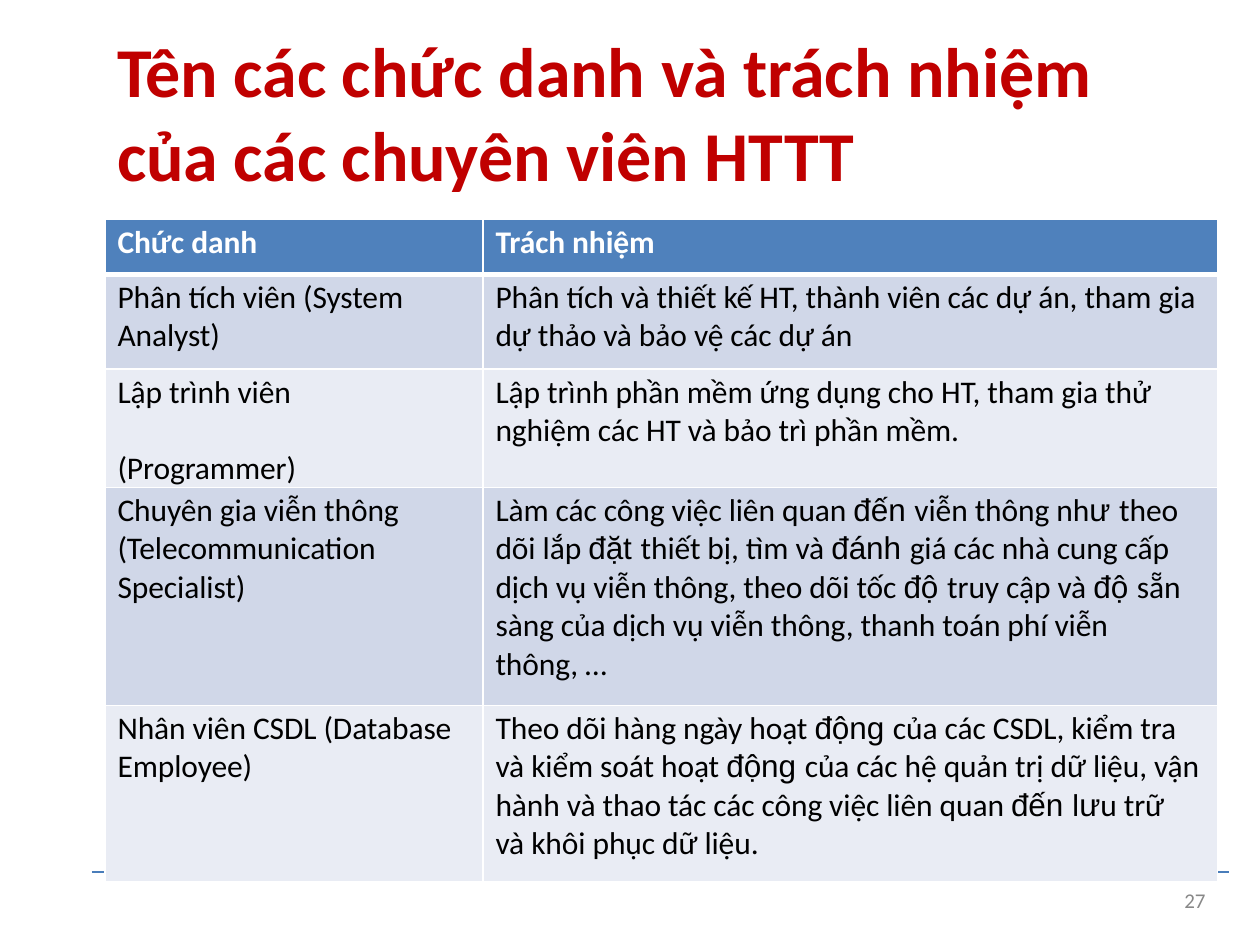
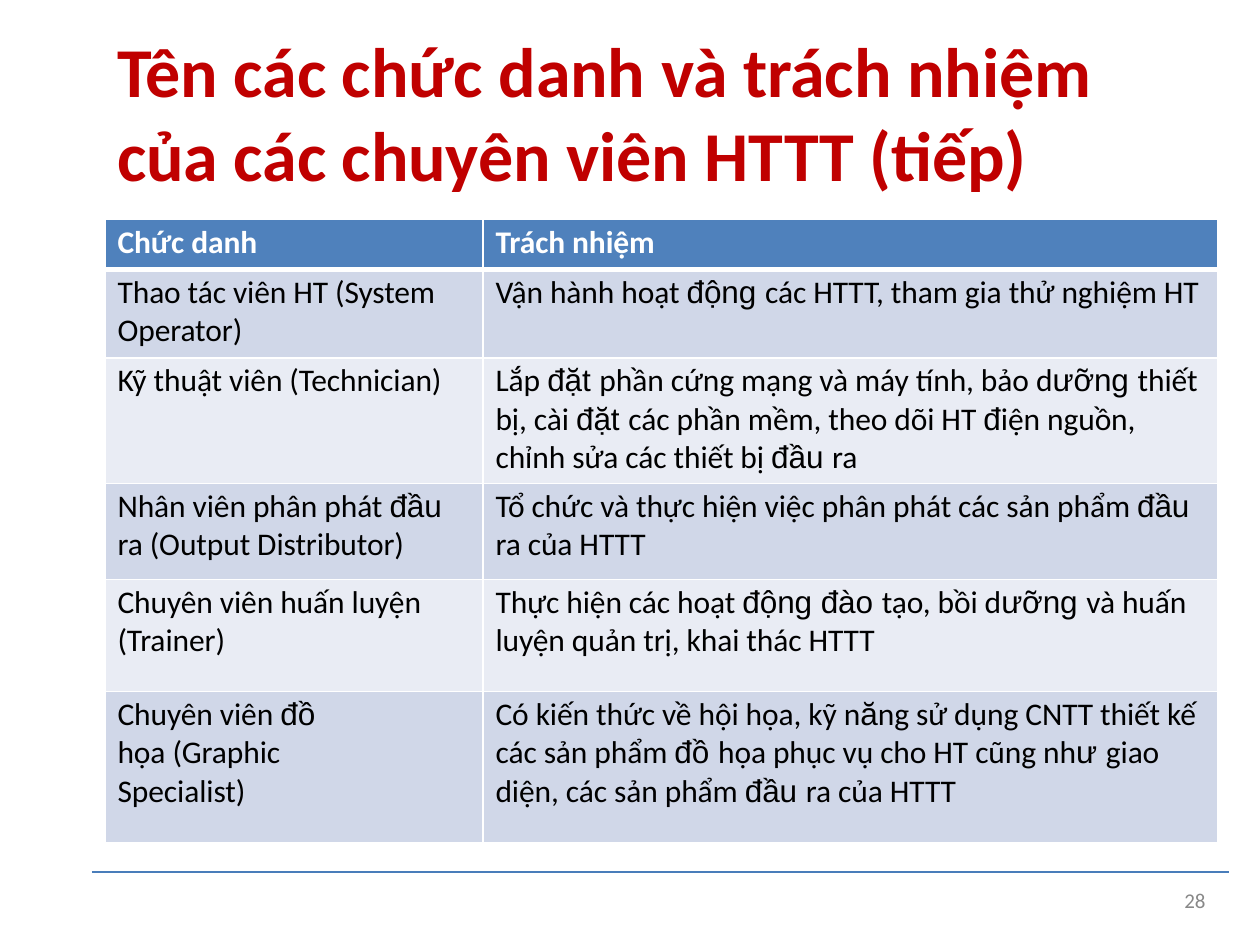
"""Build two slides that list information system job titles and their duties."""
import dataclasses

import lxml.etree
import pptx
import pptx.dml.color
import pptx.enum.shapes
import pptx.enum.text
import pptx.oxml.ns
import pptx.util


@dataclasses.dataclass(frozen=True)
class Theme:
    font: str = "Calibri"
    alt: str = "Arial"
    red: str = "C00000"
    head: str = "4F81BC"
    bands: tuple = ("E9ECF4", "D0D7E8")
    white: str = "FFFFFF"
    black: str = "000000"
    gray: str = "888888"
    rule: str = "497DBA"
    title: int = 40
    body: int = 18
    small: int = 12


theme = Theme()
Rgb = pptx.dml.color.RGBColor.from_string
Pt = pptx.util.Pt
qn = pptx.oxml.ns.qn

deck = pptx.Presentation()
deck.slide_width = pptx.util.Inches(10)
deck.slide_height = pptx.util.Inches(7.5)
col, row = deck.slide_width / 100, deck.slide_height / 100
pad = int(col)


def place(x, y, wide, high):
    """Turn percent shares of the slide into lengths."""
    return int(x * col), int(y * row), int(wide * col), int(high * row)


def write(frame, text, size, color, bold=False):
    """Fill a frame; parts between bars take the second font."""
    frame.margin_left = frame.margin_right = 0
    frame.margin_top = frame.margin_bottom = 0
    for num, line in enumerate(text.split("\n")):
        para = frame.add_paragraph() if num else frame.paragraphs[0]
        para.alignment = pptx.enum.text.PP_ALIGN.LEFT
        for part, piece in enumerate(line.split("|")):
            for turn, words in enumerate(piece.split("\v")):
                if turn:
                    para.add_line_break()
                if not words:
                    continue
                run = para.add_run()
                run.text = words
                run.font.name = theme.alt if part % 2 else theme.font
                run.font.size = Pt(size)
                run.font.bold = bold
                run.font.color.rgb = Rgb(color)
                run.font._element.set("spc", "-5")


heads = ("Chức danh", "Trách nhiệm")
pages = [
    (27, "Tên các chức danh và trách nhiệm\vcủa các chuyên viên HTTT",
     (5.87, 10, 12.53, 23.07, 18.67),
     [("Phân tích viên (System Analyst)",
       "Phân tích và thiết kế HT, thành viên các dự án, tham gia "
       "dự thảo và bảo vệ các dự án"),
      ("Lập trình viên\n(Programmer)",
       "Lập trình phần mềm ứng dụng cho HT, tham gia thử "
       "nghiệm các HT và bảo trì phần mềm."),
      ("Chuyên gia viễn thông (Telecommunication Specialist)",
       "Làm các công việc liên quan |đến |viễn thông nh|ư |theo\v"
       "dõi lắp |đặt |thiết bị, tìm và |đánh |giá các nhà cung cấp\v"
       "dịch vụ viễn thông, theo dõi tốc |độ |truy cập và |độ |sẵn "
       "sàng của dịch vụ viễn thông, thanh toán phí viễn\nthông, …"),
      ("Nhân viên CSDL (Database Employee)",
       "Theo dõi hàng ngày hoạt |động |của các CSDL, kiểm tra\v"
       "và kiểm soát hoạt |động |của các hệ quản trị dữ liệu, vận "
       "hành và thao tác các công việc liên quan |đến |l|ư|u trữ\v"
       "và khôi phục dữ liệu.")]),
    (28, "Tên các chức danh và trách nhiệm\vcủa các chuyên viên HTTT (tiếp)",
     (5.33, 9.33, 13.33, 10.13, 11.87, 16),
     [("Thao tác viên HT (System Operator)",
       "Vận hành hoạt |động |các HTTT, tham gia thử nghiệm HT"),
      ("Kỹ thuật viên (Technician)",
       "Lắp |đặt |phần cứng mạng và máy tính, bảo d|ưỡng |thiết "
       "bị, cài |đặt |các phần mềm, theo dõi HT |đ|iện nguồn,\n"
       "chỉnh sửa các thiết bị |đầu |ra"),
      ("Nhân viên phân phát |đầu|\nra (Output Distributor)",
       "Tổ chức và thực hiện việc phân phát các sản phẩm |đầu|\n"
       "ra của HTTT"),
      ("Chuyên viên huấn luyện (Trainer)",
       "Thực hiện các hoạt |động đào |tạo, bồi d|ưỡng |và huấn "
       "luyện quản trị, khai thác HTTT"),
      ("Chuyên viên |đồ|\vhọa (Graphic\vSpecialist)",
       "Có kiến thức về hội họa, kỹ n|ă|ng sử dụng CNTT thiết kế "
       "các sản phẩm |đồ |họa phục vụ cho HT cũng nh|ư |giao\v"
       "diện, các sản phẩm |đầu |ra của HTTT")]),
]

for page, title, highs, jobs in pages:
    slide = deck.slides.add_slide(deck.slide_layouts[5])

    name = slide.shapes.title
    name.left, name.top, name.width, name.height = place(9.3, 2.95, 85.1, 18.1)
    name.text_frame.auto_size = pptx.enum.text.MSO_AUTO_SIZE.NONE
    name.text_frame.vertical_anchor = pptx.enum.text.MSO_ANCHOR.TOP
    write(name.text_frame, title, theme.title, theme.red, True)

    x, y, wide, _ = place(7.3, 92.27, 90.2, 0)
    rule = slide.shapes.add_connector(
        pptx.enum.shapes.MSO_CONNECTOR.STRAIGHT, x, y, x + wide, y)
    rule.line.color.rgb = Rgb(theme.rule)
    rule.line.width = Pt(0.78)
    lxml.etree.SubElement(rule._element.spPr, qn("a:effectLst"))

    foot = slide.shapes.add_textbox(*place(94, 94.27, 2.3, 2.53)).text_frame
    write(foot, str(page), theme.small, theme.gray)
    foot.paragraphs[0].line_spacing = Pt(12.4)

    grid = slide.shapes.add_table(
        len(highs), len(heads), *place(8.33, 23.2, 88.3, sum(highs))).table
    for pos, share in enumerate((30, 58.3)):
        grid.columns[pos].width = int(share * col)
    for rank, (high, texts) in enumerate(zip(highs, [heads, *jobs])):
        grid.rows[rank].height = int(high * row)
        top = rank == 0
        for pos, text in enumerate(texts):
            cell = grid.cell(rank, pos)
            write(cell.text_frame, text, theme.body,
                  theme.white if top else theme.black, top)
            cell.margin_left, cell.margin_right = pad, 0
            cell.margin_top, cell.margin_bottom = Pt(2.2), 0
            cell.fill.solid()
            cell.fill.fore_color.rgb = Rgb(
                theme.head if top else theme.bands[rank % 2])
            props = cell._tc.get_or_add_tcPr()
            for spot, side in enumerate("LRTB"):
                thick = (rank, side) in ((0, "B"), (1, "T"))
                edge = lxml.etree.Element(
                    qn(f"a:ln{side}"), w=str(Pt(3 if thick else 1)))
                fill = lxml.etree.SubElement(edge, qn("a:solidFill"))
                lxml.etree.SubElement(fill, qn("a:srgbClr"), val=theme.white)
                props.insert(spot, edge)
    if page == 27:
        grid.cell(2, 0).text_frame.paragraphs[1].space_before = Pt(22)

deck.save("out.pptx")
